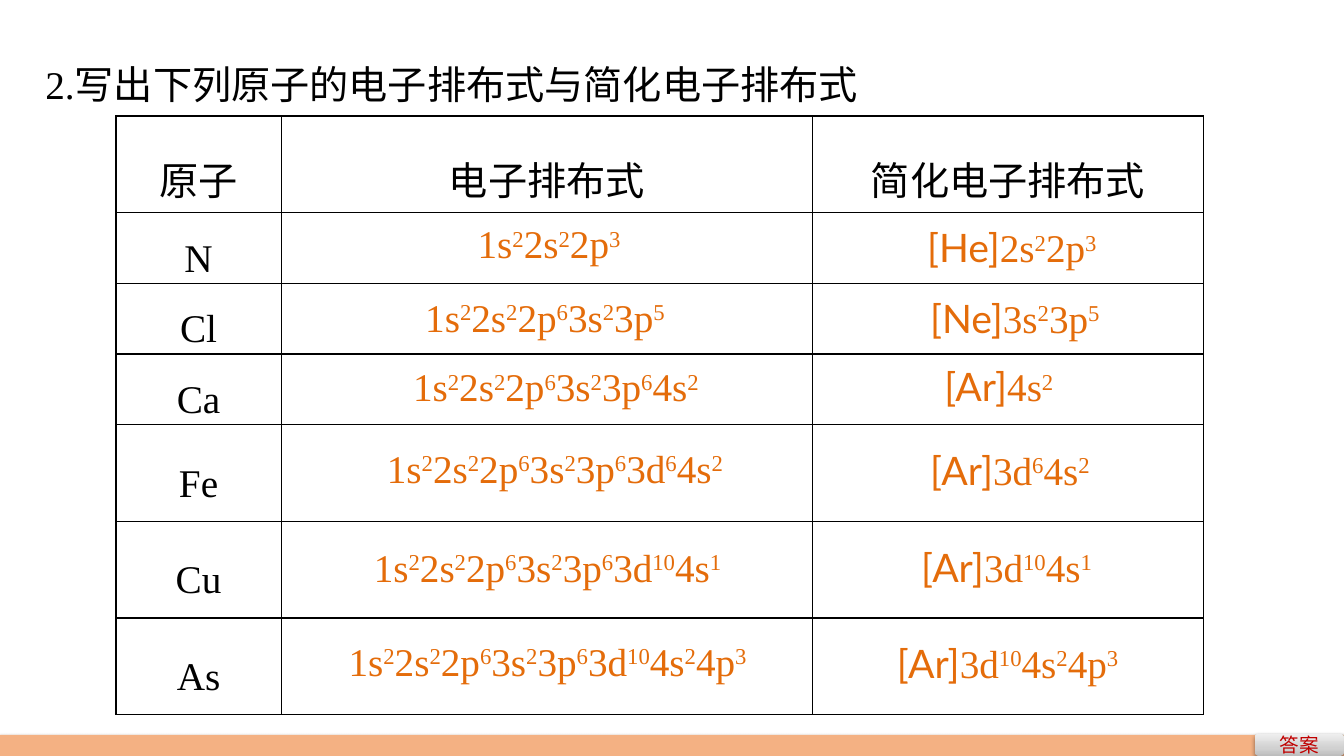
from lxml import etree
from pptx import Presentation
from pptx.dml.color import RGBColor
from pptx.enum.shapes import MSO_SHAPE
from pptx.enum.text import MSO_ANCHOR, MSO_AUTO_SIZE, PP_ALIGN
from pptx.oxml import parse_xml
from pptx.oxml.ns import nsdecls, qn
from pptx.util import Inches, Pt

RECTANGLE, ROUNDED = MSO_SHAPE.RECTANGLE, MSO_SHAPE.ROUNDED_RECTANGLE
MIDDLE = MSO_ANCHOR.MIDDLE
GROW = MSO_AUTO_SIZE.SHAPE_TO_FIT_TEXT
LEFT, CENTER, JUSTIFY = PP_ALIGN.LEFT, PP_ALIGN.CENTER, PP_ALIGN.JUSTIFY

BLACK = RGBColor(0x00, 0x00, 0x00)
ORANGE = RGBColor(0xE4, 0x6C, 0x0A)
PEACH = RGBColor(0xF4, 0xB1, 0x83)
RED = RGBColor(0xC0, 0x00, 0x00)
BUTTON_STOPS = [(0, RGBColor(0xBD, 0xBD, 0xBD)),
                (35, RGBColor(0xD1, 0xD1, 0xD1)),
                (100, RGBColor(0xEE, 0xEE, 0xEE))]

SERIF, SANS, CHINESE = "Times New Roman", "Lato", "Noto Sans CJK SC"
GRID_COLUMNS, GRID_ROWS = 40, 30

HEADINGS = ["原子", "电子排布式", "简化电子排布式"]
COLUMN_SPANS = [4.92, 15.81, 11.64]
ROW_SPANS = [3.84] + [2.76] * 3 + [3.84] * 3
ANSWER_ROWS = 2.28

# Number of subshells that each noble-gas core replaces
CORE_SUBSHELLS = {"He": 1, "Ne": 3, "Ar": 5}

# Atom, core, subshells, then (left, top, width) of the full and the short answer
ATOMS = [
    ("N", "He", "1s2 2s2 2p3", (13.92, 8.52, 5.07), (27.3, 8.68, 5.79)),
    ("Cl", "Ne", "1s2 2s2 2p6 3s2 3p5", (12.36, 11.44, 8.07), (27.39, 11.48, 5.79)),
    ("Ca", "Ar", "1s2 2s2 2p6 3s2 3p6 4s2", (12, 14.2, 9.51), (27.81, 14.2, 4.08)),
    ("Fe", "Ar", "1s2 2s2 2p6 3s2 3p6 3d6 4s2", (11.22, 17.44, 11.1), (27.39, 17.52, 5.67)),
    ("Cu", "Ar", "1s2 2s2 2p6 3s2 3p6 3d10 4s1", (10.83, 21.36, 11.49), (27.12, 21.36, 6.06)),
    ("As", "Ar", "1s2 2s2 2p6 3s2 3p6 3d10 4s2 4p3", (10.08, 25.08, 13.05), (26.4, 25.16, 7.62)),
]


class Worksheet:
    def __init__(self, deck):
        self.slide = deck.slides.add_slide(deck.slide_layouts[6])
        self.column = deck.slide_width / GRID_COLUMNS
        self.row = deck.slide_height / GRID_ROWS

    def place(self, left, top, width, height):
        """Turn grid columns and rows into slide lengths."""
        return (round(left * self.column), round(top * self.row),
                round(width * self.column), round(height * self.row))

    def style(self, paragraph, color, size=28, font=SERIF, align=LEFT, spacing=1.0):
        paragraph.alignment = align
        paragraph.line_spacing = spacing
        paragraph.font.size = Pt(size)
        paragraph.font.name = font
        paragraph.font.color.rgb = color
        defaults = paragraph._p.get_or_add_pPr().find(qn("a:defRPr"))
        etree.SubElement(defaults, qn("a:ea")).set("typeface", CHINESE)

    def title(self, text, *area):
        frame = self.slide.shapes.add_textbox(*self.place(*area)).text_frame
        frame.word_wrap = True
        frame.auto_size = GROW
        frame.margin_left = frame.margin_right = Inches(0.13)
        frame.margin_top = frame.margin_bottom = Inches(0.07)
        frame.text = text
        self.style(frame.paragraphs[0], BLACK, align=JUSTIFY, spacing=1.5)

    def border(self, cell):
        properties = cell._tc.get_or_add_tcPr()
        for index, side in enumerate(("lnL", "lnR", "lnT", "lnB")):
            properties.insert(index, parse_xml(
                f'<a:{side} {nsdecls("a")} w="{Pt(1)}"><a:solidFill>'
                f'<a:srgbClr val="{BLACK}"/></a:solidFill></a:{side}>'))

    def table(self, left, top, first_column):
        area = self.place(left, top, sum(COLUMN_SPANS), sum(ROW_SPANS))
        grid = self.slide.shapes.add_table(
            len(ROW_SPANS), len(COLUMN_SPANS), *area).table
        grid.first_row = grid.horz_banding = False
        for column, span in zip(grid.columns, COLUMN_SPANS):
            column.width = round(span * self.column)
        for row, span in zip(grid.rows, ROW_SPANS):
            row.height = round(span * self.row)
        for cell in grid.iter_cells():
            cell.fill.background()
            self.border(cell)
            cell.vertical_anchor = MIDDLE
            cell.margin_left = cell.margin_right = Inches(0.03)
            cell.margin_top = cell.margin_bottom = 0
        labels = [(0, c, heading) for c, heading in enumerate(HEADINGS)]
        labels += [(r, 0, atom) for r, atom in enumerate(first_column, 1)]
        for r, c, label in labels:
            cell = grid.cell(r, c)
            cell.text = label
            self.style(cell.text_frame.paragraphs[0], BLACK,
                       align=CENTER, spacing=1.5)

    def configuration(self, subshells, position, core=None):
        """Write subshells such as 3d10 with the electron count raised."""
        area = self.place(*position, ANSWER_ROWS)
        frame = self.slide.shapes.add_textbox(*area).text_frame
        frame.word_wrap = False
        frame.auto_size = GROW
        paragraph = frame.paragraphs[0]
        self.style(paragraph, ORANGE)
        if core:
            noble_gas = paragraph.add_run()
            noble_gas.text = f"[{core}]"
            noble_gas.font.name = SANS
        for subshell in subshells:
            paragraph.add_run().text = subshell[:2]
            electrons = paragraph.add_run()
            electrons.text = subshell[2:]
            electrons._r.get_or_add_rPr().set("baseline", "30000")

    def panel(self, preset, *area):
        """Add an unlined shape with a soft shadow below it."""
        panel = self.slide.shapes.add_shape(preset, *self.place(*area))
        panel.line.fill.background()
        panel.shadow.inherit = False
        panel._element.spPr.find(qn("a:effectLst")).append(parse_xml(
            f'<a:outerShdw {nsdecls("a")} blurRad="40000" dist="20000" '
            f'dir="5400000" rotWithShape="0"><a:srgbClr val="{BLACK}">'
            '<a:alpha val="38000"/></a:srgbClr></a:outerShdw>'))
        return panel

    def footer(self, *area):
        bar = self.panel(RECTANGLE, *area)
        bar.fill.solid()
        bar.fill.fore_color.rgb = PEACH

    def button(self, text, *area):
        button = self.panel(ROUNDED, *area)
        button.fill.gradient()
        gradient = button._element.spPr.find(qn("a:gradFill"))
        stops = "".join(f'<a:gs pos="{share * 1000}"><a:srgbClr val="{color}"/></a:gs>'
                        for share, color in BUTTON_STOPS)
        gradient.getparent().replace(gradient, parse_xml(
            f'<a:gradFill {nsdecls("a")} rotWithShape="1"><a:gsLst>{stops}</a:gsLst>'
            '<a:lin ang="16200000" scaled="0"/></a:gradFill>'))
        frame = button.text_frame
        frame.vertical_anchor = MIDDLE
        frame.text = text
        self.style(frame.paragraphs[0], RED, size=14, font=CHINESE, align=CENTER)


def main():
    deck = Presentation()
    deck.slide_width, deck.slide_height = Inches(13.33), Inches(7.5)
    sheet = Worksheet(deck)
    sheet.title("2.写出下列原子的电子排布式与简化电子排布式", 0.96, 1.16, 37.35, 3)
    sheet.table(3.45, 4.6, [atom for atom, *_ in ATOMS])
    for _, core, subshells, full_position, short_position in ATOMS:
        filled = subshells.split()
        sheet.configuration(filled, full_position)
        sheet.configuration(filled[CORE_SUBSHELLS[core]:], short_position, core)
    sheet.footer(0, 29.16, 40, 0.84)
    sheet.button("答案", 37.35, 29.12, 2.64, 0.88)
    deck.save("out.pptx")


if __name__ == "__main__":
    main()
